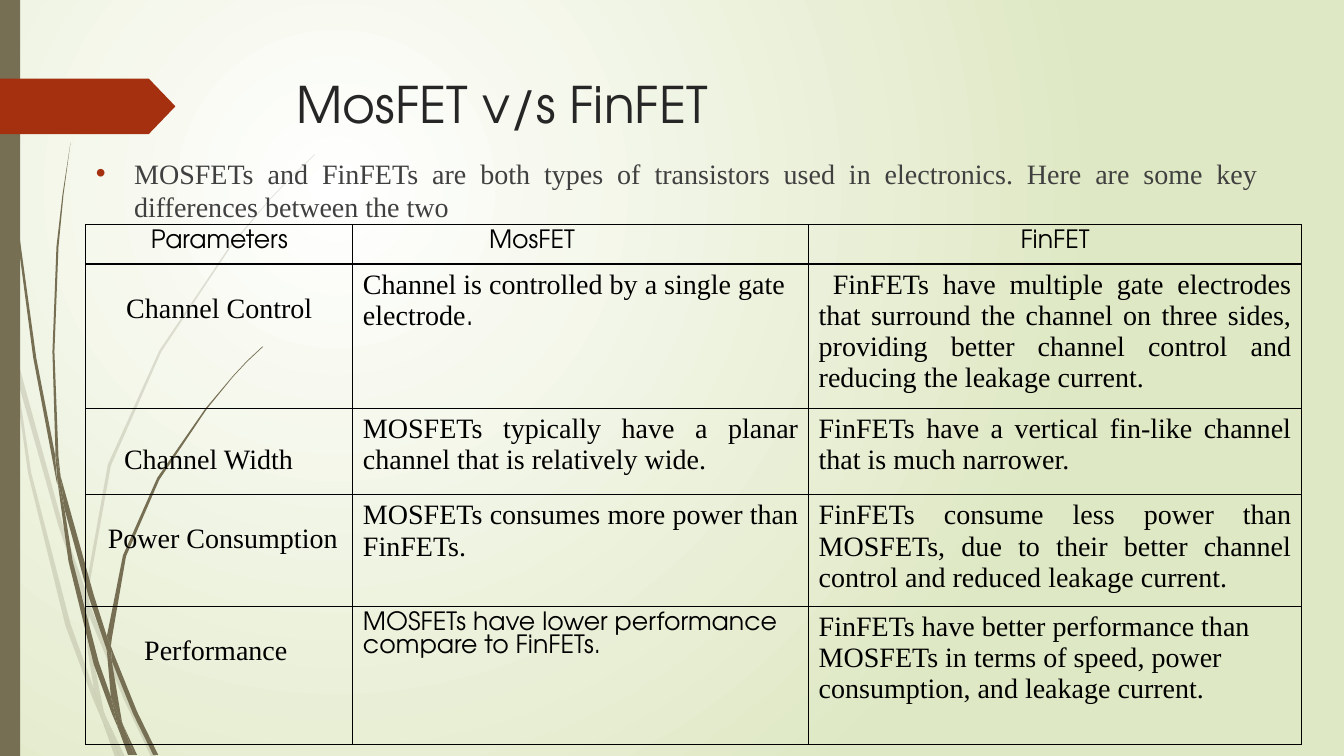
"""Builds a slide that compares MosFET and FinFET transistors in a table."""
from dataclasses import dataclass
from typing import Optional

from lxml.etree import SubElement
from pptx import Presentation
from pptx.dml.color import RGBColor
from pptx.enum.shapes import MSO_SHAPE as Preset
from pptx.enum.text import MSO_ANCHOR as Anchor, MSO_AUTO_SIZE as AutoSize, PP_ALIGN as Align
from pptx.oxml import parse_xml
from pptx.oxml.ns import nsdecls, qn
from pptx.util import Inches, Pt

UNIT = Inches(0.01)


@dataclass(frozen=True)
class Theme:
    """Colours, fonts and type sizes of the slide."""
    olive: str = "766F54"
    red: str = "A53010"
    white: str = "FFFFFF"
    green: str = "DFE8C4"
    title: str = "262626"
    body: str = "404040"
    black: str = "000000"
    sans: str = "TeX Gyre Adventor"
    serif: str = "Times New Roman"
    title_size: int = 36
    text_size: int = 20
    head_size: int = 18
    head_pitch: float = 16.5


@dataclass(frozen=True)
class Entry:
    """One table cell; lengths are in grid units."""
    text: str
    align: Align = Align.LEFT
    sans: bool = False
    left: int = 10
    top: int = 5
    indent: int = 0
    tail: str = ""


@dataclass(frozen=True)
class Grass:
    """A tuft of blades, each an outline in grid units."""
    blades: tuple[str, ...]
    alpha: Optional[int] = None


THEME = Theme()
COLUMNS = (265, 452, 489)
ROWS = (39, 143, 86, 111, 137)

PALE_GRASS = Grass((
    "11,350 9,322 0,282 0,299 10,344",
    "58,522 84,599 85,586 62,520 14,345 17,376",
    "92,607 88,596 88,610 123,694 150,751 155,751 127,692",
    "119,751 124,751 105,711",
    "93,683 70,619 31,469 17,376 11,350 28,470 65,621 92,693 101,714 99,707",
    "84,599 87,646 93,683 96,692 105,711 103,706 91,646 88,610 88,608",
    "88,584 110,462 160,349 229,245 268,198 290,175 312,154 312,153 289,175 268,197 "
    "228,244 158,348 107,461 85,584 85,586 88,596",
    "101,714 114,751 119,751",
    "88,608 88,610 88,596 85,586 84,599",
    "96,692 93,683 99,707 101,714 119,751 105,711",
), 20)

DARK_GRASS = Grass((
    "7,110 17,233 33,355 56,477 57,481 55,457 55,453 36,355 19,232 8,109 5,48 4,0 3,0 4,48",
    "88,592 106,645 106,633 106,631 93,590 60,472 64,505",
    "113,649 110,641 111,656 132,708 152,749 157,749 136,706",
    "110,691 98,657 72,556 64,505 57,477 68,557 93,659 111,708 117,722 116,717",
    "60,472 58,453 54,349 58,245 63,193 70,141 62,193 56,245 52,349 55,449",
    "133,749 136,749 122,719",
    "57,477 64,505 60,472 55,449 55,453",
    "111,633 125,552 158,476 205,406 231,374 245,359 261,344 260,344 245,358 231,373 "
    "204,405 156,474 122,551 106,631 110,641",
    "117,722 127,749 131,749",
    "106,645 110,691 116,706 122,719 121,716 111,656 109,651",
    "106,645 109,651 111,656 110,641 106,631 106,633",
    "116,706 110,691 116,717 117,722 130,749 133,749 122,719",
))

ENTRIES = (
    (Entry("Parameters", Align.CENTER, True), Entry("MosFET", sans=True, left=135),
     Entry("FinFET", Align.CENTER, True)),
    (Entry("Channel Control", Align.CENTER, top=29),
     Entry("Channel is controlled by a single gate electrode", tail="."),
     Entry("FinFETs have multiple gate electrodes that surround the channel on three sides, "
           "providing better channel control and reducing the leakage current.",
           Align.JUSTIFY, indent=14)),
    (Entry("Channel Width", left=38, top=36),
     Entry("MOSFETs typically have a planar channel that is relatively wide.", Align.JUSTIFY),
     Entry("FinFETs have a vertical fin-like channel that is much narrower.", Align.JUSTIFY)),
    (Entry("Power Consumption", left=22, top=28),
     Entry("MOSFETs consumes more power than FinFETs.", Align.JUSTIFY),
     Entry("FinFETs consume less power than MOSFETs, due to their better channel control "
           "and reduced leakage current.", Align.JUSTIFY)),
    (Entry("Performance", left=58, top=29),
     Entry("MOSFETs have lower performance compare to FinFETs.", sans=True),
     Entry("FinFETs have better performance than MOSFETs in terms of speed, power "
           "consumption, and leakage current.")),
)


def style(span, font: str, size: float, colour: str) -> None:
    """Format one run."""
    span.font.name, span.font.size = font, Pt(size)
    span.font.color.rgb = RGBColor.from_string(colour)


def paint(shape, colour: str, alpha: Optional[int] = None) -> None:
    """Fill a shape plainly, without line or shadow."""
    shape.shadow.inherit = False
    shape.line.fill.background()
    shape.fill.solid()
    shape.fill.fore_color.rgb = RGBColor.from_string(colour)
    if alpha is not None:
        tint = shape.element.spPr.find(qn("a:solidFill"))[0]
        SubElement(tint, qn("a:alpha"), val=str(alpha * 1000))


def draw_background(page) -> None:
    """Lay a round gradient behind the slide."""
    fill = page.background.fill
    fill.gradient()
    for stop, colour in zip(fill.gradient_stops, (THEME.white, THEME.green)):
        stop.color.rgb = RGBColor.from_string(colour)
    line = next(page.element.iter(qn("a:lin")))
    line.getparent().replace(line, parse_xml(
        f'<a:path {nsdecls("a")} path="circle">'
        '<a:fillToRect l="50000" t="50000" r="100000" b="100000"/></a:path>'))


def draw_grass(page, grass: Grass) -> None:
    """Draw a tuft as one group of outlines."""
    group = page.shapes.add_group_shape()
    for blade in grass.blades:
        points = [tuple(map(int, point.split(","))) for point in blade.split()]
        builder = group.shapes.build_freeform(*points[0], scale=float(UNIT))
        builder.add_line_segments(points[1:], close=True)
        paint(builder.convert_to_shape(), THEME.olive, grass.alpha)


def draw_block(page, preset: Preset, area: tuple[int, ...], colour: str):
    """Draw a plain preset shape."""
    shape = page.shapes.add_shape(preset, *(UNIT * part for part in area))
    paint(shape, colour)
    return shape


def fill_placeholder(page, box, area: tuple[int, ...], text: str, align: Align,
                     font: str, size: int, colour: str):
    """Move a placeholder to the front, set its text and return the paragraph."""
    page.shapes.element.append(box.element)
    box.left, box.top, box.width, box.height = (UNIT * part for part in area)
    frame = box.text_frame
    frame.text = text
    frame.word_wrap, frame.auto_size = True, AutoSize.NONE
    frame.vertical_anchor = Anchor.TOP
    para = frame.paragraphs[0]
    para.alignment, para.space_before = align, Pt(0)
    style(para.runs[0], font, size, colour)
    return para


def add_bullet(para) -> None:
    """Give a paragraph a hanging red bullet."""
    props = para._p.get_or_add_pPr()
    props.set("marL", str(UNIT * 38))
    props.set("indent", str(UNIT * -38))
    SubElement(SubElement(props, qn("a:buClr")), qn("a:srgbClr"), val=THEME.red)
    SubElement(props, qn("a:buFont"), typeface="Arial")
    SubElement(props, qn("a:buChar"), char="•")


def fill_cell(cell, entry: Entry) -> None:
    """Write and frame one table cell."""
    cell.text_frame.text = entry.text
    cell.margin_left, cell.margin_top = UNIT * entry.left, UNIT * entry.top
    para = cell.text_frame.paragraphs[0]
    para.alignment = entry.align
    if entry.indent:
        para._p.get_or_add_pPr().set("indent", str(UNIT * entry.indent))
    if entry.sans:
        para.line_spacing = Pt(THEME.head_pitch)
        style(para.runs[0], THEME.sans, THEME.head_size, THEME.black)
    else:
        style(para.runs[0], THEME.serif, THEME.text_size, THEME.black)
    if entry.tail:
        span = para.add_run()
        span.text = entry.tail
        style(span, THEME.sans, THEME.text_size, THEME.black)
    cell.fill.background()
    for place, side in enumerate("LRTB"):
        cell._tc.get_or_add_tcPr().insert(place, parse_xml(
            f'<a:ln{side} {nsdecls("a")} w="{Pt(1)}"><a:solidFill>'
            f'<a:srgbClr val="{THEME.black}"/></a:solidFill></a:ln{side}>'))


def draw_table(page) -> None:
    """Draw the comparison table."""
    table = page.shapes.add_table(len(ROWS), len(COLUMNS), UNIT * 85, UNIT * 223,
                                  UNIT * sum(COLUMNS), UNIT * sum(ROWS)).table
    table.first_row = table.horz_banding = False
    for column, width in zip(table.columns, COLUMNS):
        column.width = UNIT * width
    for row, height, entries in zip(table.rows, ROWS, ENTRIES):
        row.height = UNIT * height
        for cell, entry in zip(row.cells, entries):
            fill_cell(cell, entry)


def main() -> None:
    """Build and save the deck."""
    deck = Presentation()
    deck.slide_width, deck.slide_height = UNIT * 1333, UNIT * 750
    page = deck.slides.add_slide(deck.slide_layouts[1])
    title, body = page.placeholders
    draw_background(page)
    draw_grass(page, PALE_GRASS)
    draw_grass(page, DARK_GRASS)
    draw_block(page, Preset.RECTANGLE, (0, 0, 20, 750), THEME.olive)
    draw_block(page, Preset.PENTAGON, (0, 78, 174, 55), THEME.red).adjustments[0] = 0.48
    fill_placeholder(page, title, (284, 68, 975, 140), "MosFET v/s FinFET", Align.LEFT,
                     THEME.sans, THEME.title_size, THEME.title)
    add_bullet(fill_placeholder(
        page, body, (85, 150, 1173, 569),
        "MOSFETs and FinFETs are both types of transistors used in electronics. "
        "Here are some key differences between the two",
        Align.JUSTIFY, THEME.serif, THEME.text_size, THEME.body))
    draw_table(page)
    deck.save("out.pptx")


if __name__ == "__main__":
    main()
